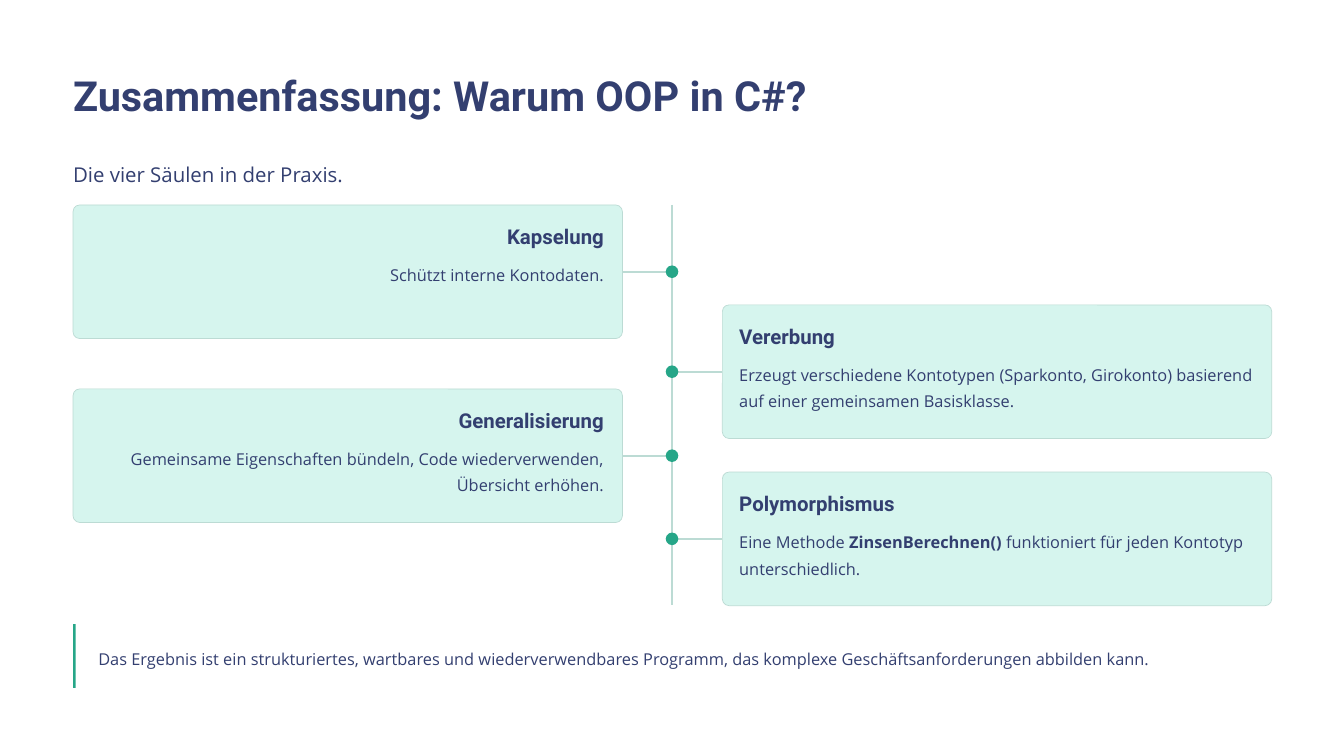
import pptx
import pptx.util
import pptx.dml.color
import pptx.enum.shapes
import pptx.enum.text
import pptx.oxml.ns
import lxml.etree

Inches, Pt = pptx.util.Inches, pptx.util.Pt
SHAPE = pptx.enum.shapes.MSO_SHAPE
ALIGN = pptx.enum.text.PP_ALIGN

# Content
TITLE = "Zusammenfassung: Warum OOP in C#?"
SUBTITLE = "Die vier Säulen in der Praxis."
# Side, card top, heading, body as (text, bold) runs
PILLARS = [
    ("left", 2.44, "Kapselung", [("Schützt interne Kontodaten.", False)]),
    ("right", 3.63, "Vererbung",
     [("Erzeugt verschiedene Kontotypen (Sparkonto, Girokonto) basierend "
       "auf einer gemeinsamen Basisklasse.", False)]),
    ("left", 4.63, "Generalisierung",
     [("Gemeinsame Eigenschaften bündeln, Code wiederverwenden, "
       "Übersicht erhöhen.", False)]),
    ("right", 5.62, "Polymorphismus",
     [("Eine Methode ", False), ("ZinsenBerechnen()", True),
      (" funktioniert für jeden Kontotyp unterschiedlich.", False)]),
]
RESULT = ("Das Ergebnis ist ein strukturiertes, wartbares und wiederverwendbares "
          "Programm, das komplexe Geschäftsanforderungen abbilden kann.")

COLORS = {"text": "333F70", "card": "D6F5EE", "line": "BCDBD4",
          "accent": "26A688", "background": "FFFFFF"}
HEADING_FONT, BODY_FONT = "Roboto", "Open Sans"

# Layout
MARGIN, CONTENT_W = 0.87, 14.26
SPINE_X, SPINE_TOP, SPINE_BOTTOM = 8, 2.44, 7.2
CARD_W, CARD_H = 6.54, 1.59
CARD_X = {"left": MARGIN, "right": 8.6}
PAD, TEXT_W = 0.2, 6.12
DOT = 0.15

prs = pptx.Presentation()
prs.slide_width, prs.slide_height = Inches(16), Inches(9)
slide = prs.slides.add_slide(prs.slide_layouts[6])


def rgb(name):
    return pptx.dml.color.RGBColor.from_string(COLORS[name])


def add_text(x, y, w, h, runs, size, spacing, font=BODY_FONT, bold=None, align=ALIGN.LEFT):
    tf = slide.shapes.add_textbox(Inches(x), Inches(y), Inches(w), Inches(h)).text_frame
    tf.margin_left = tf.margin_right = tf.margin_top = tf.margin_bottom = 0
    tf.word_wrap = True
    p = tf.paragraphs[0]
    p.alignment, p.line_spacing = align, Pt(spacing)
    p.font.name, p.font.size, p.font.bold = font, Pt(size), bold
    p.font.color.rgb = rgb("text")
    for text, strong in runs:
        r = p.add_run()
        r.text = text
        if strong:
            r.font.bold = True


def add_block(kind, x, y, w, h, fill, line=None):
    sp = slide.shapes.add_shape(kind, Inches(x), Inches(y), Inches(w), Inches(h))
    sp.shadow.inherit = False
    sp.fill.solid()
    sp.fill.fore_color.rgb = rgb(fill)
    if line:
        sp.line.color.rgb = rgb(line)
        sp.line.width = Pt(0.6)
    else:
        sp.line.fill.background()
    return sp


def add_line(x1, y1, x2, y2):
    c = slide.shapes.add_connector(pptx.enum.shapes.MSO_CONNECTOR.STRAIGHT,
                                   Inches(x1), Inches(y1), Inches(x2), Inches(y2))
    c.line.color.rgb = rgb("line")
    c.line.width = Pt(2)
    lxml.etree.SubElement(c._element.spPr, pptx.oxml.ns.qn("a:effectLst"))
    return c


# Background and headings
slide.background.fill.solid()
slide.background.fill.fore_color.rgb = rgb("background")
add_text(MARGIN, 0.81, CONTENT_W, 0.62, [(TITLE, False)], 35.5, 44.5, HEADING_FONT, True)
add_text(MARGIN, 1.82, CONTENT_W, 0.4, [(SUBTITLE, False)], 17.5, 28.5)

# Timeline with alternating cards
add_line(SPINE_X, SPINE_TOP, SPINE_X, SPINE_BOTTOM)
for side, top, heading, body in PILLARS:
    x, middle = CARD_X[side], top + CARD_H / 2
    on_left = side == "left"
    align = ALIGN.RIGHT if on_left else ALIGN.LEFT
    card = add_block(SHAPE.ROUNDED_RECTANGLE, x, top, CARD_W, CARD_H, "card", "line")
    card.adjustments[0] = 0.05
    branch = add_line(x + CARD_W if on_left else x, middle, SPINE_X, middle)
    branch.begin_connect(card, 3 if on_left else 1)
    add_block(SHAPE.OVAL, SPINE_X - DOT / 2, middle - DOT / 2, DOT, DOT, "accent")
    add_text(x + PAD, top + 0.21, TEXT_W, 0.31, [(heading, False)], 17.5, 22,
             HEADING_FONT, True, align)
    add_text(x + PAD, top + 0.64, TEXT_W, 0.63, body, 14, 22.5, align=align)

# Result with accent bar
add_text(1.17, 7.65, 13.97, 0.32, [(RESULT, False)], 14, 22.5)
add_block(SHAPE.RECTANGLE, MARGIN, 7.43, 0.03, 0.76, "accent")

prs.save("out.pptx")
